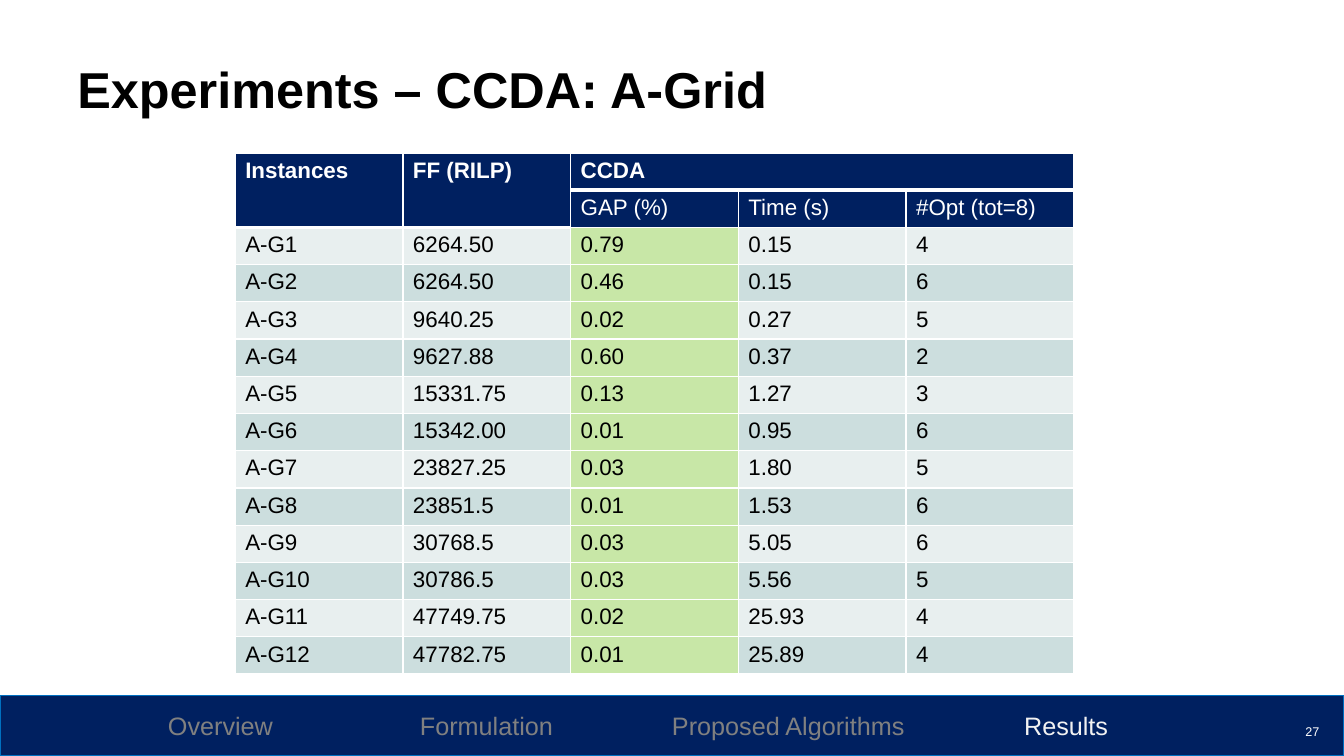
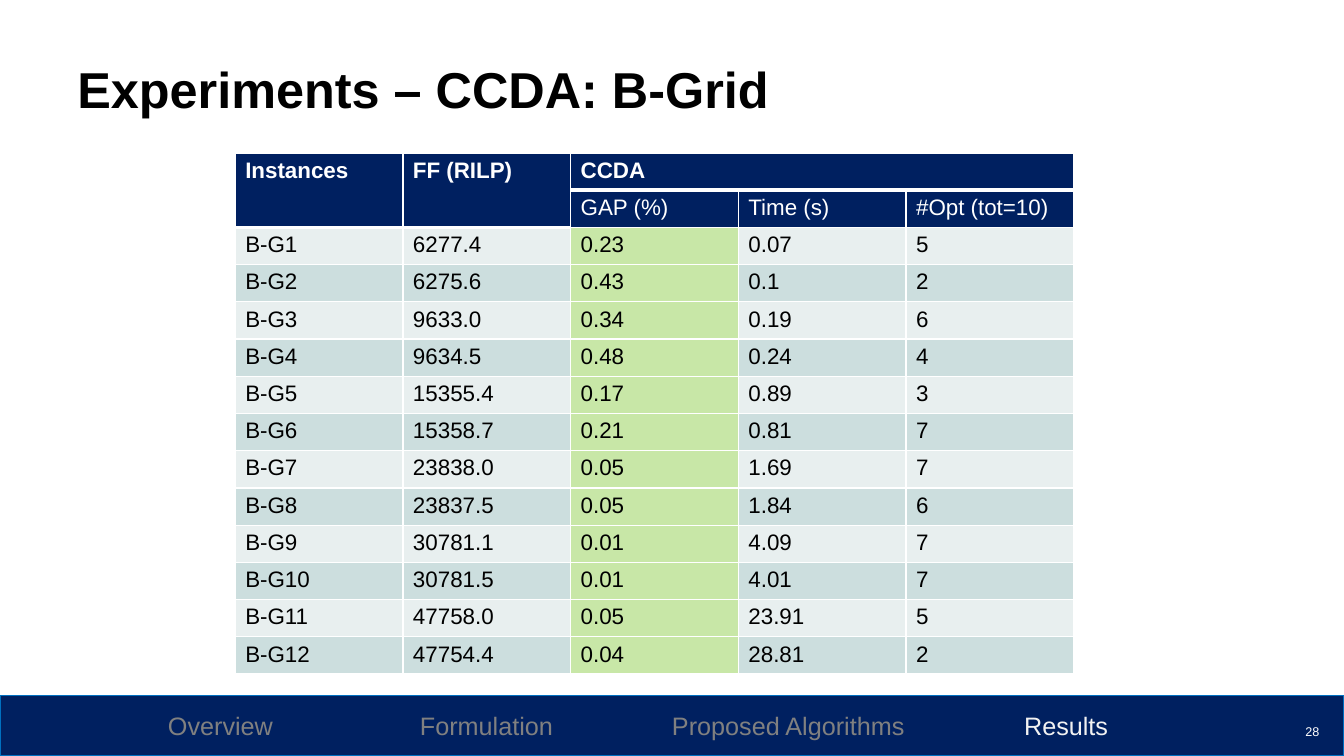
import pptx
import pptx.dml.color
import pptx.enum.shapes
import pptx.enum.text
import pptx.oxml.ns
import pptx.util
import lxml.etree

Pt = pptx.util.Pt
qn = pptx.oxml.ns.qn

COLOURS = {
    "navy": "002060",
    "band line": "0070C0",
    "white": "FFFFFF",
    "black": "000000",
    "muted": "808080",
    "current": "F2F2F2",
    "light row": "E8EFEF",
    "dark row": "CCDEDE",
    "highlight": "92D050",
}
FONT = "Arial"
SLIDE_WIDTH, SLIDE_HEIGHT = 960, 540
BAND_TOP, BAND_HEIGHT = 496.8, 43.2
SECTIONS = [("Overview", 120), ("Formulation", 300),
            ("Proposed Algorithms", 480), ("Results", 731.5)]
CURRENT_SECTION = "Results"

TABLE_LEFT, TABLE_TOP = 168, 109.4
COLUMN_WIDTH = 119.8
TOP_ROW_HEIGHT, ROW_HEIGHT = 25.6, 26.6
HEADER_ROWS = [2, 2, 1, 1, 1]  # rows above the thick rule, by column
GAP_COLUMN = 2

EXPERIMENTS = [
    {"grid": "A", "number": 27, "total": 8, "results": [
        ("6264.50", "0.79", "0.15", "4"),
        ("6264.50", "0.46", "0.15", "6"),
        ("9640.25", "0.02", "0.27", "5"),
        ("9627.88", "0.60", "0.37", "2"),
        ("15331.75", "0.13", "1.27", "3"),
        ("15342.00", "0.01", "0.95", "6"),
        ("23827.25", "0.03", "1.80", "5"),
        ("23851.5", "0.01", "1.53", "6"),
        ("30768.5", "0.03", "5.05", "6"),
        ("30786.5", "0.03", "5.56", "5"),
        ("47749.75", "0.02", "25.93", "4"),
        ("47782.75", "0.01", "25.89", "4"),
    ]},
    {"grid": "B", "number": 28, "total": 10, "results": [
        ("6277.4", "0.23", "0.07", "5"),
        ("6275.6", "0.43", "0.1", "2"),
        ("9633.0", "0.34", "0.19", "6"),
        ("9634.5", "0.48", "0.24", "4"),
        ("15355.4", "0.17", "0.89", "3"),
        ("15358.7", "0.21", "0.81", "7"),
        ("23838.0", "0.05", "1.69", "7"),
        ("23837.5", "0.05", "1.84", "6"),
        ("30781.1", "0.01", "4.09", "7"),
        ("30781.5", "0.01", "4.01", "7"),
        ("47758.0", "0.05", "23.91", "5"),
        ("47754.4", "0.04", "28.81", "2"),
    ]},
]


def add_run(paragraph, text, size, colour, bold=False):
    run = paragraph.add_run()
    run.text = text
    run.font.name = FONT
    run.font.size = Pt(size)
    run.font.bold = bold
    run.font.color.rgb = pptx.dml.color.RGBColor.from_string(COLOURS[colour])


def set_borders(cell, top, bottom):
    """Draw white cell borders, 1 pt at the sides; call before filling the cell."""
    properties = cell._tc.get_or_add_tcPr()
    for side, width in (("L", 1), ("R", 1), ("T", top), ("B", bottom)):
        line = lxml.etree.SubElement(properties, qn("a:ln" + side), w=str(Pt(width)))
        fill = lxml.etree.SubElement(line, qn("a:solidFill"))
        lxml.etree.SubElement(fill, qn("a:srgbClr"), val=COLOURS["white"])


presentation = pptx.Presentation()
presentation.slide_width = Pt(SLIDE_WIDTH)
presentation.slide_height = Pt(SLIDE_HEIGHT)

for experiment in EXPERIMENTS:
    slide = presentation.slides.add_slide(presentation.slide_layouts[6])
    grid = experiment["grid"]

    # Navigation band
    band = slide.shapes.add_shape(pptx.enum.shapes.MSO_SHAPE.RECTANGLE,
                                  0, Pt(BAND_TOP), Pt(SLIDE_WIDTH), Pt(BAND_HEIGHT))
    band.shadow.inherit = False
    band.fill.solid()
    band.fill.fore_color.rgb = pptx.dml.color.RGBColor.from_string(COLOURS["navy"])
    band.line.color.rgb = pptx.dml.color.RGBColor.from_string(COLOURS["band line"])
    band.line.width = Pt(1)
    band.text_frame.margin_left = band.text_frame.margin_right = 0
    band.text_frame.vertical_anchor = pptx.enum.text.MSO_ANCHOR.MIDDLE
    paragraph = band.text_frame.paragraphs[0]
    paragraph.alignment = pptx.enum.text.PP_ALIGN.LEFT
    tab_stops = lxml.etree.SubElement(paragraph._p.get_or_add_pPr(), qn("a:tabLst"))
    for section, left in SECTIONS:
        lxml.etree.SubElement(tab_stops, qn("a:tab"), pos=str(Pt(left)), algn="l")
        colour = "current" if section == CURRENT_SECTION else "muted"
        add_run(paragraph, "\t" + section, 18, colour)

    # Title
    title = slide.shapes.add_textbox(Pt(48.2), Pt(43.2), Pt(838.8), Pt(89.3))
    title.text_frame.word_wrap = True
    paragraph = title.text_frame.paragraphs[0]
    paragraph.line_spacing = 0.9
    add_run(paragraph, f"Experiments – CCDA: {grid}-Grid", 36, "black", bold=True)

    # Slide number
    number = slide.shapes.add_textbox(Pt(915.8), Pt(508.3), Pt(33.8), Pt(28.8))
    number.text_frame.word_wrap = True
    number.text_frame.vertical_anchor = pptx.enum.text.MSO_ANCHOR.MIDDLE
    paragraph = number.text_frame.paragraphs[0]
    paragraph.alignment = pptx.enum.text.PP_ALIGN.RIGHT
    add_run(paragraph, str(experiment["number"]), 9, "white")

    # Results table
    rows = [
        ("Instances", "FF (RILP)", "CCDA", "", ""),
        ("", "", "GAP (%)", "Time (s)", f"#Opt (tot={experiment['total']})"),
    ]
    for index, result in enumerate(experiment["results"], start=1):
        rows.append((f"{grid}-G{index}", *result))
    column_count = len(HEADER_ROWS)
    table = slide.shapes.add_table(
        len(rows), column_count, Pt(TABLE_LEFT), Pt(TABLE_TOP),
        Pt(COLUMN_WIDTH * column_count),
        Pt(TOP_ROW_HEIGHT + ROW_HEIGHT * (len(rows) - 1))).table
    for column in table.columns:
        column.width = Pt(COLUMN_WIDTH)
    for row_index, row in enumerate(rows):
        table.rows[row_index].height = Pt(ROW_HEIGHT if row_index else TOP_ROW_HEIGHT)
        is_header = row_index < 2
        for column_index, text in enumerate(row):
            cell = table.cell(row_index, column_index)
            header_rows = HEADER_ROWS[column_index]
            set_borders(cell,
                        top=3 if 0 < row_index <= header_rows else 1,
                        bottom=3 if row_index < header_rows else 1)
            if is_header:
                fill_colour = "navy"
            elif column_index == GAP_COLUMN:
                fill_colour = "highlight"
            else:
                fill_colour = "dark row" if row_index % 2 else "light row"
            cell.fill.solid()
            cell.fill.fore_color.rgb = pptx.dml.color.RGBColor.from_string(
                COLOURS[fill_colour])
            if fill_colour == "highlight":
                colour_element = cell._tc.tcPr.find(qn("a:solidFill"))[0]
                lxml.etree.SubElement(colour_element, qn("a:alpha"), val="50000")
            if text:
                add_run(cell.text_frame.paragraphs[0], text, 16,
                        "white" if is_header else "black", bold=row_index == 0)
    for column_index in (0, 1):
        table.cell(0, column_index).merge(table.cell(1, column_index))
    table.cell(0, GAP_COLUMN).merge(table.cell(0, column_count - 1))

presentation.save("out.pptx")
